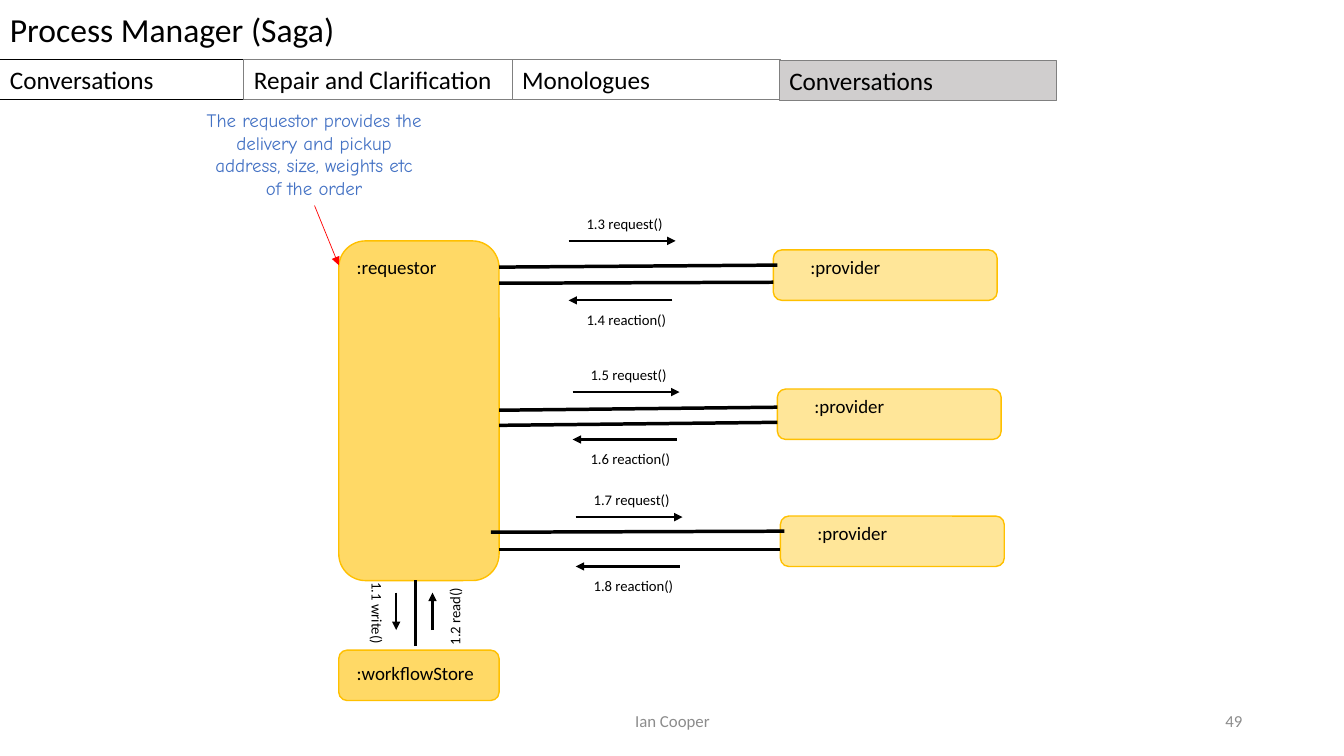
from dataclasses import dataclass

from lxml import etree
from pptx import Presentation
from pptx import util as u
from pptx.dml.color import RGBColor
from pptx.enum import shapes, text
from pptx.oxml import ns

In = u.Inches
KIND = shapes.MSO_SHAPE
ALIGN = text.PP_ALIGN


@dataclass(frozen=True)
class Theme:
    font: str = "Calibri"
    hand: str = "Comic Neue"
    black: str = "000000"
    white: str = "FFFFFF"
    grey: str = "808080"
    faint: str = "8C8C8C"
    shade: str = "D0CECE"
    gold: str = "FFD966"
    pale: str = "FFE699"
    edge: str = "FFC000"
    blue: str = "4472C4"
    red: str = "FF0000"
    title: float = 24
    tab: float = 18
    name: float = 13.5
    foot: float = 12
    call: float = 10.5


T = Theme()


def color(code):
    return RGBColor.from_string(code)


def write(shape, words, size, tint=T.black, font=T.font, align=ALIGN.LEFT,
          anchor=text.MSO_ANCHOR.TOP):
    frame = shape.text_frame
    frame.word_wrap = True
    frame.vertical_anchor = anchor
    para = frame.paragraphs[0]
    para.alignment = align
    run = para.add_run()
    run.text = words
    run.font.size = u.Pt(size)
    run.font.name = font
    run.font.color.rgb = color(tint)


def label(slide, x, y, w, h, words, size, turn=0, **style):
    box = slide.shapes.add_textbox(In(x), In(y), In(w), In(h))
    box.rotation = turn
    write(box, words, size, **style)


def block(slide, kind, x, y, w, h, fill, line=None, width=1):
    shape = slide.shapes.add_shape(kind, In(x), In(y), In(w), In(h))
    shape.shadow.inherit = False
    shape.fill.solid()
    shape.fill.fore_color.rgb = color(fill)
    if line:
        shape.line.color.rgb = color(line)
        shape.line.width = u.Pt(width)
    else:
        shape.line.fill.background()
    return shape


def line(slide, x1, y1, x2, y2, width=2.5, tint=T.black, arrow=False):
    link = slide.shapes.add_connector(
        shapes.MSO_CONNECTOR.STRAIGHT, In(x1), In(y1), In(x2), In(y2))
    link.line.color.rgb = color(tint)
    link.line.width = u.Pt(width)
    if arrow:
        etree.SubElement(link.line._get_or_add_ln(), ns.qn("a:tailEnd"),
                         type="triangle")
    etree.SubElement(link._element.spPr, ns.qn("a:effectLst"))


def arrow(slide, x1, y1, x2, y2):
    line(slide, x1, y1, x2, y2, width=1.5, arrow=True)


def node(slide, x, y, w, h, fill, words, dx, dy):
    block(slide, KIND.ROUNDED_RECTANGLE, x, y, w, h, fill, T.edge)
    label(slide, x + dx, y + dy, 1.6, 0.33, words, T.name)


def provider(slide, x, y, top, step, links):
    """One provider with its request above and its reaction below."""
    node(slide, x, y, 2.22, 0.5, T.pale, ":provider", 0.27, 0.01)
    for ends in links:
        line(slide, *ends)
    left = x - 2.03
    arrow(slide, left, top, left + 1.06, top)
    label(slide, left + 0.08, top - 0.31, 1.1, 0.28,
          f"1.{step} request()", T.call)
    low = y + 0.5
    arrow(slide, left + 1.03, low, left, low)
    label(slide, left + 0.08, low + 0.05, 1.26, 0.28,
          f"1.{step + 1} reaction()", T.call)


def tab(slide, x, w, words, fill=T.white, edge=T.grey, y=0.59):
    shape = block(slide, KIND.RECTANGLE, x, y, w, 0.4, fill, edge, 0.75)
    write(shape, words, T.tab)


def main():
    deck = Presentation()
    deck.slide_width, deck.slide_height = In(13.33), In(7.5)
    slide = deck.slides.add_slide(deck.slide_layouts[6])

    # Footer
    mid = text.MSO_ANCHOR.MIDDLE
    label(slide, 4.42, 6.95, 4.5, 0.4, "Ian Cooper", T.foot,
          tint=T.faint, align=ALIGN.CENTER, anchor=mid)
    label(slide, 9.42, 6.95, 3, 0.4, "49", T.foot,
          tint=T.faint, align=ALIGN.RIGHT, anchor=mid)

    # Requestor and its store
    node(slide, 3.36, 2.39, 1.59, 3.37, T.gold, ":requestor", 0.08, 0.1)
    node(slide, 3.36, 6.45, 1.59, 0.5, T.gold, ":workflowStore", 0.08, 0.06)
    line(slide, 4.12, 6.41, 4.12, 5.75)
    arrow(slide, 3.93, 5.88, 3.93, 6.25)
    label(slide, 3.25, 6.03, 0.98, 0.28, "1.1 write()", T.call, turn=90)
    arrow(slide, 4.29, 6.25, 4.29, 5.88)
    label(slide, 4.02, 5.87, 0.98, 0.28, "1.2 read()", T.call, turn=270)

    # Note on the requestor
    label(slide, 1.94, 1.03, 2.35, 1.01,
          "The requestor provides the delivery and pickup address, size, "
          "weights etc of the order", T.name,
          tint=T.blue, font=T.hand, align=ALIGN.CENTER)
    line(slide, 3.12, 2.04, 3.36, 2.63, 0.5, T.red, arrow=True)

    # Providers: place, request height, first step, links
    rows = [
        (7.67, 2.48, 2.39, 3,
         [(4.95, 2.65, 7.71, 2.63), (4.95, 2.81, 7.67, 2.8)]),
        (7.71, 3.86, 3.89, 5,
         [(4.95, 4.07, 7.71, 4.04), (4.95, 4.22, 7.71, 4.19)]),
        (7.74, 5.12, 5.13, 7,
         [(4.87, 5.28, 7.78, 5.27), (4.95, 5.45, 7.74, 5.45)]),
    ]
    for row in rows:
        provider(slide, *row)

    # Title and tabs
    title = block(slide, KIND.RECTANGLE, 0, -0.01, 13.33, 0.61, T.white)
    frame = title.text_frame
    frame.margin_top = frame.margin_bottom = In(0.1)
    write(title, "Process Manager (Saga)", T.title)
    tab(slide, 0, 2.43, "Conversations", edge=T.black)
    tab(slide, 5.08, 2.66, "Monologues")
    tab(slide, 7.73, 2.75, "Conversations", fill=T.shade, y=0.6)
    tab(slide, 2.42, 2.66, "Repair and Clarification")

    deck.save("out.pptx")


if __name__ == "__main__":
    main()
